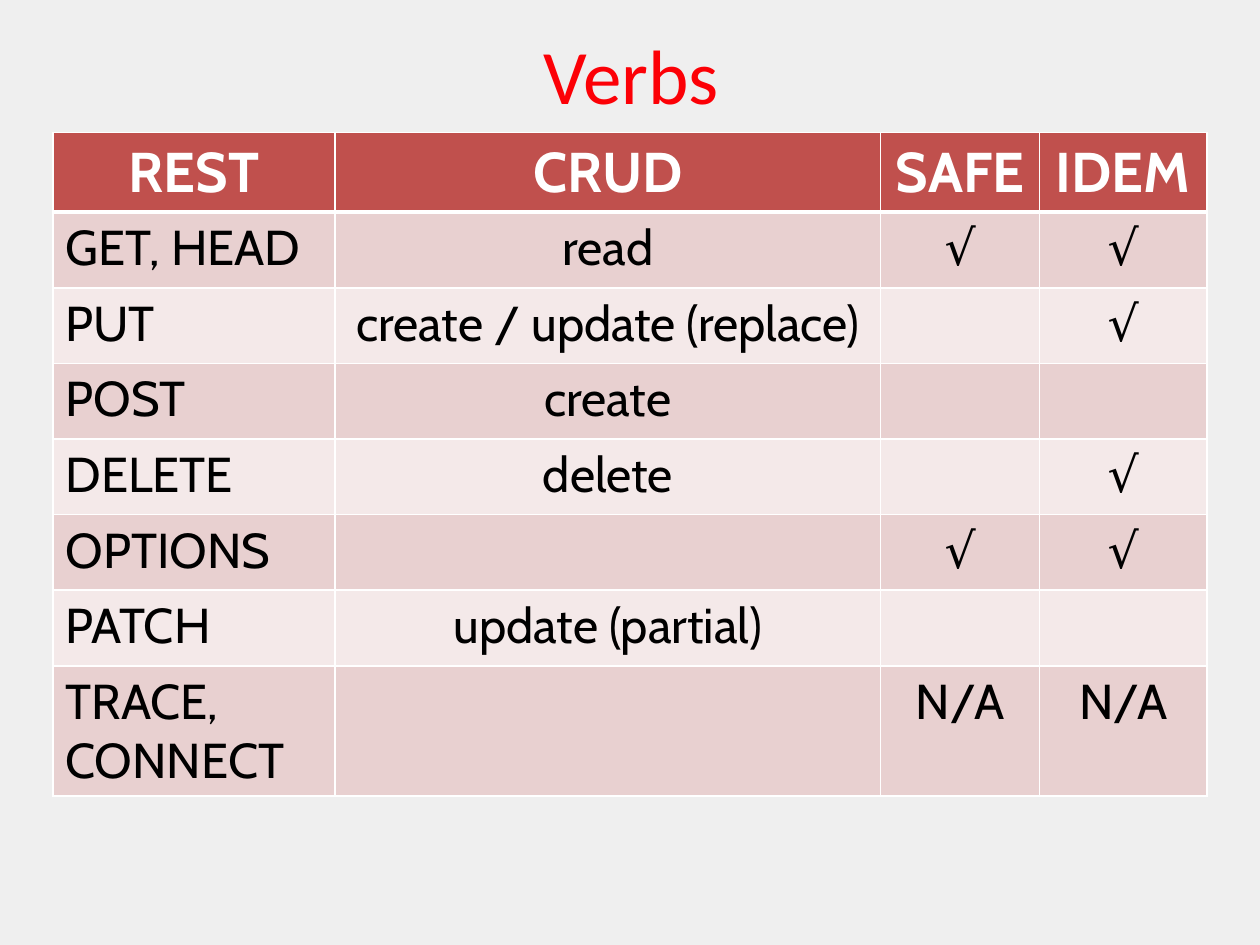
from lxml.etree import SubElement
from pptx import Presentation
from pptx.dml.color import RGBColor
from pptx.enum.text import PP_ALIGN
from pptx.oxml.ns import qn
from pptx.util import Inches, Pt

COLORS = {
    "back": "EFEFEF",
    "title": "FC0006",
    "head": "C0504D",
    "odd": "E8D0D0",
    "even": "F4E9E9",
    "line": "FFFFFF",
    "ink": "000000",
}
VERBS = [
    ("REST", "CRUD", "SAFE", "IDEM"),
    ("GET, HEAD", "read", "√", "√"),
    ("PUT", "create / update (replace)", "", "√"),
    ("POST", "create", "", ""),
    ("DELETE", "delete", "", "√"),
    ("OPTIONS", "", "√", "√"),
    ("PATCH", "update (partial)", "", ""),
    ("TRACE, CONNECT", "", "N/A", "N/A"),
]
WIDTHS = [2.24, 4.33, 1.26, 1.33]
HEIGHTS = [0.62] + [0.6] * 6 + [0.98]


def color(name):
    return RGBColor.from_string(COLORS[name])


def write(frame, text, size=28, font="Cabin", ink="ink", bold=False, align=PP_ALIGN.CENTER):
    para = frame.paragraphs[0]
    para.alignment = align
    if not text:
        return
    run = para.add_run()
    run.text = text
    run.font.size = Pt(size)
    run.font.name = font
    run.font.bold = bold
    run.font.color.rgb = color(ink)


def edge(cell, side, width):
    """Draw one cell border; side is L, R, T or B. Call before filling the cell."""
    props = cell._tc.get_or_add_tcPr()
    line = SubElement(props, qn(f"a:ln{side}"), w=str(Pt(width)))
    fill = SubElement(line, qn("a:solidFill"))
    SubElement(fill, qn("a:srgbClr"), val=COLORS["line"])


class Deck:
    def __init__(self, width, height):
        self.show = Presentation()
        self.show.slide_width = Inches(width)
        self.show.slide_height = Inches(height)

    def page(self):
        self.slide = self.show.slides.add_slide(self.show.slide_layouts[6])
        fill = self.slide.background.fill
        fill.solid()
        fill.fore_color.rgb = color("back")

    def title(self, text, *box):
        shape = self.slide.shapes.add_textbox(*map(Inches, box))
        shape.text_frame.word_wrap = True
        write(shape.text_frame, text, size=44, font="Calibri", ink="title")

    def table(self, rows, left, top, widths, heights):
        box = map(Inches, (left, top, sum(widths), sum(heights)))
        table = self.slide.shapes.add_table(len(rows), len(widths), *box).table
        for col, width in zip(table.columns, widths):
            col.width = Inches(width)
        for row, height in zip(table.rows, heights):
            row.height = Inches(height)
        for r, row in enumerate(rows):
            for c, text in enumerate(row):
                self.cell(table.cell(r, c), text, r, c)

    def cell(self, cell, text, row, col):
        edges = {"L": 1, "R": 1, "T": 3 if row == 1 else 1, "B": 3 if row == 0 else 1}
        for side, width in edges.items():
            edge(cell, side, width)
        cell.fill.solid()
        if row == 0:
            cell.fill.fore_color.rgb = color("head")
            write(cell.text_frame, text, size=32, ink="line", bold=True)
        else:
            cell.fill.fore_color.rgb = color("odd" if row % 2 else "even")
            align = PP_ALIGN.CENTER if col else PP_ALIGN.LEFT
            write(cell.text_frame, text, align=align)


def main():
    deck = Deck(10, 7.5)
    deck.page()
    deck.title("Verbs", 1.55, 0.17, 6.92, 0.84)
    deck.table(VERBS, 0.42, 1.05, WIDTHS, HEIGHTS)
    deck.show.save("out.pptx")


if __name__ == "__main__":
    main()
